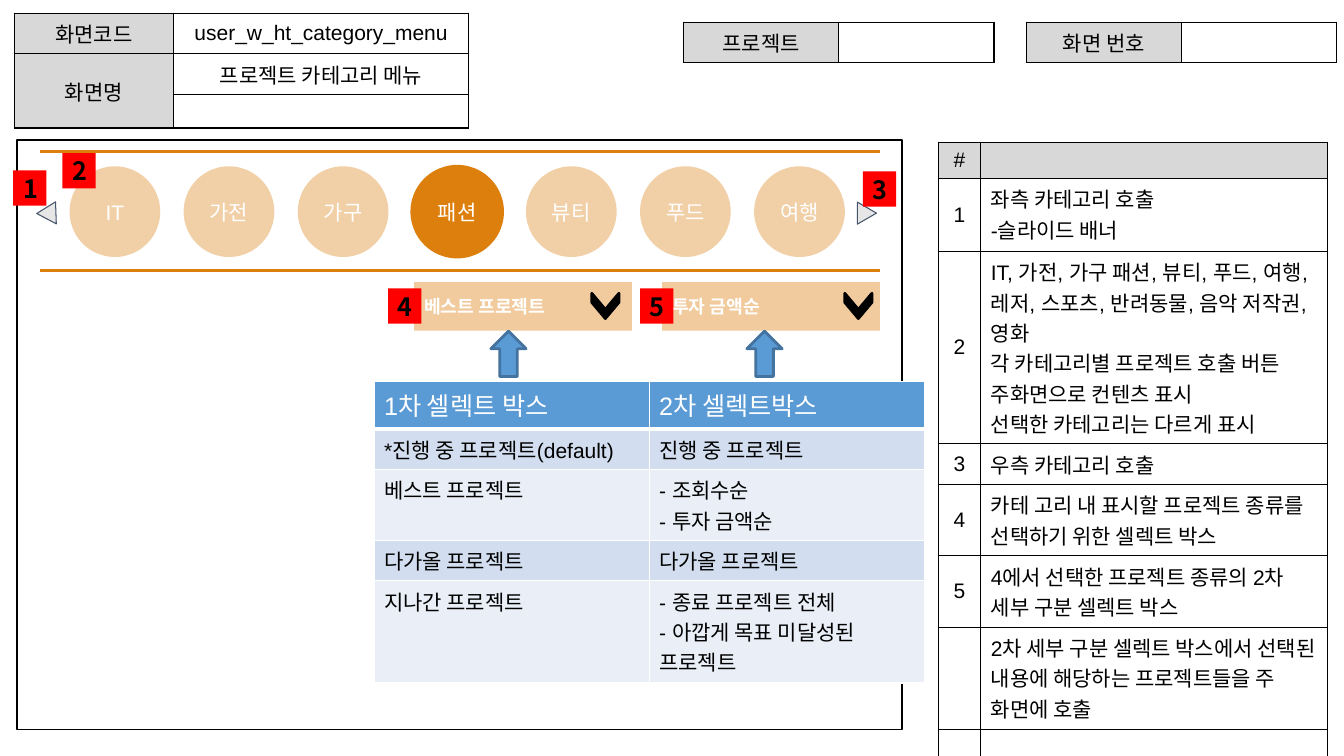
from dataclasses import dataclass

from lxml.etree import SubElement
from pptx import Presentation
from pptx.dml.color import RGBColor
from pptx.enum.shapes import MSO_CONNECTOR, MSO_SHAPE
from pptx.enum.text import MSO_ANCHOR, PP_ALIGN
from pptx.oxml.ns import qn
from pptx.util import Pt


@dataclass(frozen=True)
class Theme:
    black: str = "000000"
    white: str = "FFFFFF"
    label: str = "D8D8D8"
    orange: str = "DC7F0D"
    red: str = "FF0000"
    blue: str = "5B9BD5"
    blue_edge: str = "43739E"
    band_dark: str = "D2DEEF"
    band_light: str = "EAEFF7"
    pager: str = "E7E6E6"
    pager_edge: str = "44546A"
    latin: str = "Arial"
    korean: str = "Noto Sans CJK KR"
    body: float = 15
    heading: float = 18
    select: float = 13


THEME = Theme()
HEADER_ROW = 29


def rgb(color):
    return RGBColor.from_string(color)


def write_text(frame, text, size=THEME.body, color=THEME.black, bold=False,
               align=PP_ALIGN.LEFT, font=THEME.latin):
    """Write one paragraph per line of text."""
    frame.word_wrap = True
    for index, line in enumerate(text.split("\n")):
        paragraph = frame.paragraphs[0] if index == 0 else frame.add_paragraph()
        paragraph.alignment = align
        run = paragraph.add_run()
        run.text = line
        run.font.size = Pt(size)
        run.font.bold = bold
        run.font.color.rgb = rgb(color)
        run.font.name = font
        SubElement(run.font._element, qn("a:ea"), typeface=THEME.korean)


def add_box(slide, kind, left, top, width, height, fill=None, alpha=None,
            edge=None, edge_width=1, rotation=0):
    box = slide.shapes.add_shape(kind, Pt(left), Pt(top), Pt(width), Pt(height))
    box.shadow.inherit = False
    box.rotation = rotation
    if fill:
        box.fill.solid()
        box.fill.fore_color.rgb = rgb(fill)
    else:
        box.fill.background()
    if alpha:
        color = box._element.spPr.find(qn("a:solidFill"))[0]
        SubElement(color, qn("a:alpha"), val=str(alpha * 1000))
    if edge:
        box.line.color.rgb = rgb(edge)
        box.line.width = Pt(edge_width)
    else:
        box.line.fill.background()
    return box


def add_rule(slide, left, right, y):
    rule = slide.shapes.add_connector(
        MSO_CONNECTOR.STRAIGHT, Pt(left), Pt(y), Pt(right), Pt(y))
    rule.line.color.rgb = rgb(THEME.orange)
    rule.line.width = Pt(2.25)
    SubElement(rule._element.spPr, qn("a:effectLst"))


def add_badge(slide, number, left, top):
    badge = add_box(slide, MSO_SHAPE.RECTANGLE, left, top, 23.8, 25.2, THEME.red)
    write_text(badge.text_frame, number, size=THEME.heading, bold=True,
               align=PP_ALIGN.CENTER, font=THEME.korean)


def add_category(slide, name, left, chosen):
    circle = add_box(slide, MSO_SHAPE.OVAL, left, 118.8, 64.8, 64.8, THEME.orange,
                     alpha=None if chosen else 36,
                     edge=THEME.orange if chosen else None, edge_width=2)
    write_text(circle.text_frame, name, color=THEME.white, align=PP_ALIGN.CENTER)


def add_select(slide, label, number, left, badge_left, chevron_left, arrow_left):
    """A select box with its badge, chevron and the arrow below it."""
    select = add_box(slide, MSO_SHAPE.RECTANGLE, left, 201.6, 155.5, 34.6,
                     THEME.orange, alpha=40)
    write_text(select.text_frame, label, size=THEME.select, color=THEME.white,
               bold=True)
    chevron = add_box(slide, MSO_SHAPE.CHEVRON, chevron_left, 208.8, 18, 19.4,
                      THEME.black, edge=THEME.black, edge_width=2, rotation=90)
    chevron.adjustments[0] = 0.64
    add_badge(slide, number, badge_left, 205.9)
    add_box(slide, MSO_SHAPE.DOWN_ARROW, arrow_left, 236.5, 25.2, 32.4, THEME.blue,
            edge=THEME.blue_edge, edge_width=2, rotation=180)


def set_borders(cell, color, bottom=1):
    properties = cell._tc.get_or_add_tcPr()
    for side, width in (("L", 1), ("R", 1), ("T", 1), ("B", bottom)):
        line = SubElement(properties, qn(f"a:ln{side}"), w=str(Pt(width)))
        fill = SubElement(line, qn("a:solidFill"))
        SubElement(fill, qn("a:srgbClr"), val=color)


def add_grid(slide, left, top, widths, heights, rows, cell_format, border):
    """cell_format(row, column) gives fill, anchor and text keywords."""
    table = slide.shapes.add_table(
        len(heights), len(widths), Pt(left), Pt(top),
        Pt(sum(widths)), Pt(sum(heights))).table
    table.first_row = table.horz_banding = False
    for column, width in zip(table.columns, widths):
        column.width = Pt(width)
    for row, height in zip(table.rows, heights):
        row.height = Pt(height)
    for r, texts in enumerate(rows):
        for c, text in enumerate(texts):
            cell = table.cell(r, c)
            fill, anchor, text_format = cell_format(r, c)
            thick = border == THEME.white and r == 0
            set_borders(cell, border, bottom=3 if thick else 1)
            cell.fill.solid()
            cell.fill.fore_color.rgb = rgb(fill)
            cell.vertical_anchor = anchor
            if text:
                write_text(cell.text_frame, text, **text_format)
            else:
                cell.margin_top = cell.margin_bottom = 0
    return table


def header_format(row, column):
    fill = THEME.white if column else THEME.label
    return fill, MSO_ANCHOR.MIDDLE, {"align": PP_ALIGN.CENTER}


def note_format(row, column):
    fill = THEME.white if row else THEME.label
    if column:
        return fill, MSO_ANCHOR.TOP, {}
    return fill, MSO_ANCHOR.MIDDLE, {"align": PP_ALIGN.CENTER}


def option_format(row, column):
    if row == 0:
        return THEME.blue, MSO_ANCHOR.TOP, {"size": THEME.heading, "color": THEME.white}
    return THEME.band_dark if row % 2 else THEME.band_light, MSO_ANCHOR.TOP, {}


def main():
    presentation = Presentation()
    presentation.slide_width, presentation.slide_height = Pt(960), Pt(540)
    slide = presentation.slides.add_slide(presentation.slide_layouts[6])

    # Screen identification
    screen = add_grid(slide, 10.1, 9.4, [113.8, 211], [HEADER_ROW, HEADER_ROW, 24],
                      [("화면코드", "user_w_ht_category_menu"),
                       ("화면명", "프로젝트 카테고리 메뉴"), ("", "")],
                      header_format, THEME.black)
    screen.cell(1, 0).merge(screen.cell(2, 0))
    for label, left in (("화면 번호", 733), ("프로젝트", 488.2)):
        add_grid(slide, left, 15.8, [110.9, 110.9], [HEADER_ROW], [(label, "")],
                 header_format, THEME.black)

    # Description of the numbered parts
    notes = [
        ("#", ""),
        ("1", "좌측 카테고리 호출\n-슬라이드 배너"),
        ("2", "IT, 가전, 가구 패션, 뷰티, 푸드, 여행, 레저, 스포츠, 반려동물, 음악 저작권, 영화\n"
              "각 카테고리별 프로젝트 호출 버튼\n주화면으로 컨텐츠 표시\n선택한 카테고리는 다르게 표시"),
        ("3", "우측 카테고리 호출"),
        ("4", "카테 고리 내 표시할 프로젝트 종류를 선택하기 위한 셀렉트 박스"),
        ("5", "4에서 선택한 프로젝트 종류의 2차 세부 구분 셀렉트 박스"),
        ("", "2차 세부 구분 셀렉트 박스에서 선택된 내용에 해당하는 프로젝트들을 주 화면에 호출"),
        ("", ""),
    ]
    add_grid(slide, 670.3, 101.5, [30.2, 247.7], [26, 52, 137, 29, 51, 51, 73, 24],
             notes, note_format, THEME.black)

    # Screen frame and category slider
    add_box(slide, MSO_SHAPE.RECTANGLE, 12.2, 100.1, 632.2, 421.2, edge=THEME.black)
    for y in (108, 193):
        add_rule(slide, 28.8, 628.6, y)
    for left, rotation in ((25.2, 268), (611.3, 90)):
        add_box(slide, MSO_SHAPE.ISOSCELES_TRIANGLE, left, 145.4, 15.8, 13.7,
                THEME.pager, edge=THEME.pager_edge, edge_width=0.75, rotation=rotation)
    categories = ["IT", "가전", "가구", "패션", "뷰티", "푸드", "여행"]
    for index, name in enumerate(categories):
        add_category(slide, name, 49.7 + 81.5 * index, chosen=name == "패션")
    for number, left, top in (("3", 616.3, 122.4), ("2", 44.6, 109.4), ("1", 9.4, 121.7)):
        add_badge(slide, number, left, top)

    # Select boxes and their options
    add_select(slide, "베스트 프로젝트", "4", 295.9, 277.2, 423.4, 350.6)
    add_select(slide, "투자 금액순", "5", 473, 457.2, 604.1, 533.5)
    options = [
        ("1차 셀렉트 박스", "2차 셀렉트박스"),
        ("*진행 중 프로젝트(default)", "진행 중 프로젝트"),
        ("베스트 프로젝트", "- 조회수순\n- 투자 금액순"),
        ("다가올 프로젝트", "다가올 프로젝트"),
        ("지나간 프로젝트", "- 종료 프로젝트 전체\n- 아깝게 목표 미달성된 프로젝트"),
    ]
    add_grid(slide, 267.1, 272.2, [196.6, 196.6], [34, 29, 50.5, 29, 73],
             options, option_format, THEME.white)

    presentation.save("out.pptx")


if __name__ == "__main__":
    main()
